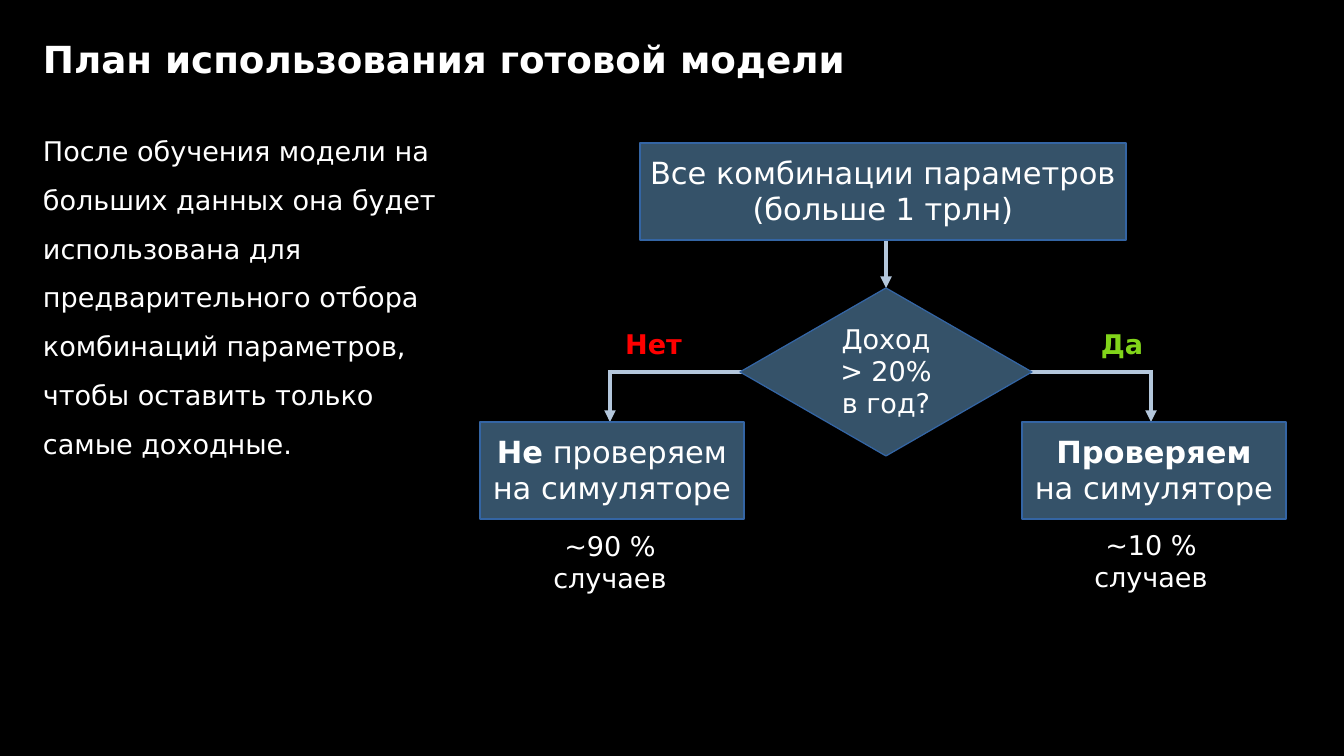
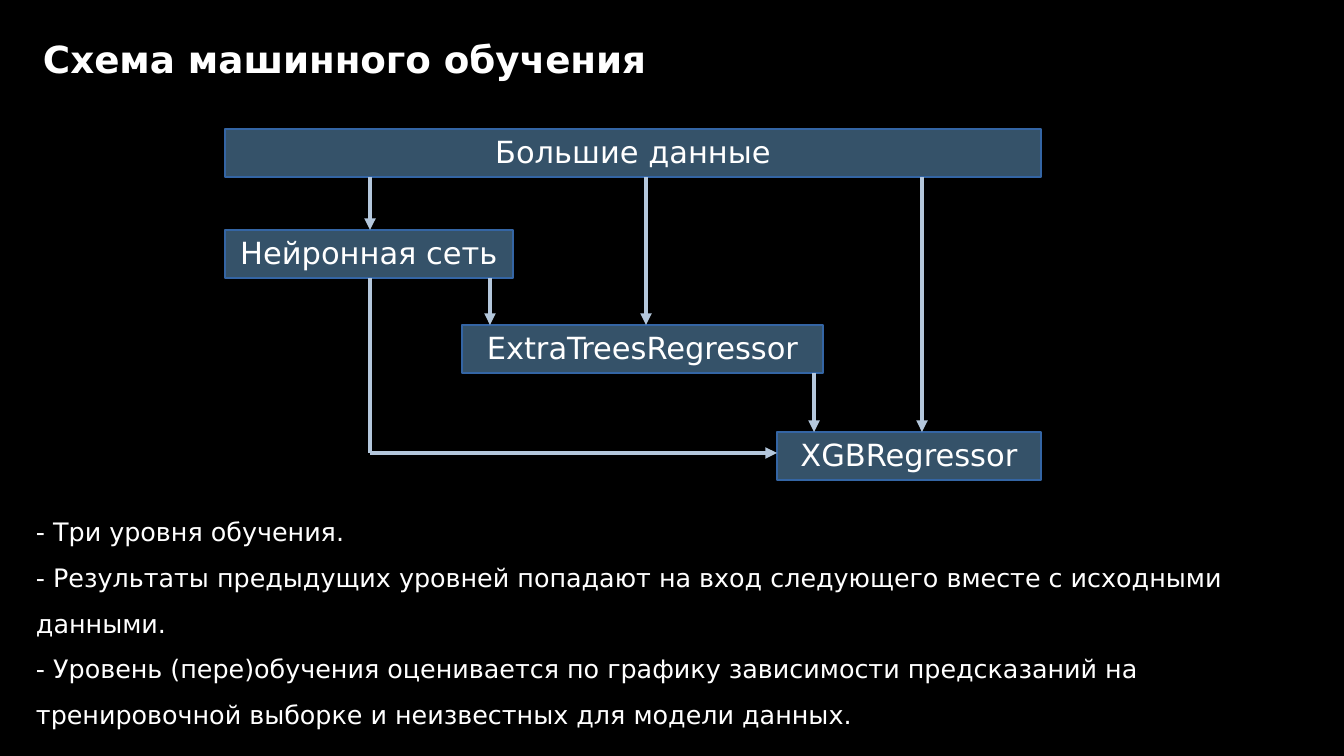
import collections

import lxml.etree
import pptx
import pptx.dml.color
import pptx.enum.shapes
import pptx.enum.text
import pptx.oxml.ns
import pptx.util

EMU_PER_PX = 7495
PAGE_SIZE = (1344, 756)
FONT = "DejaVu Sans"
COLOURS = {
    "background": "000000",
    "text": "FFFFFF",
    "node": "355269",
    "outline": "3465A4",
    "arrow": "B4C7DC",
    "yes": "81D41A",
    "no": "FF0000",
}
ALIGN = pptx.enum.text.PP_ALIGN
ANCHOR = pptx.enum.text.MSO_ANCHOR
SHAPE = pptx.enum.shapes.MSO_SHAPE
LEFT_FORMAT = {"alignment": ALIGN.LEFT, "line_spacing": 0.98}
CENTRE_FORMAT = {"alignment": ALIGN.CENTER, "line_spacing": 0.98}
BODY_FORMAT = {"alignment": ALIGN.LEFT, "line_spacing": 1.5}
PADDING = (12, 6, 12, 6)
FLUSH = (0, 1, 0, 0)

Box = collections.namedtuple("Box", "left top width height")
Branch = collections.namedtuple("Branch", "node drop label answer colour lines share caption")


def px(length):
    """Turn px into EMU."""
    return pptx.util.Emu(round(length * EMU_PER_PX))


def colour(name):
    """Return the named colour as RGB."""
    return pptx.dml.color.RGBColor.from_string(COLOURS[name])


def within(region, left, top, width, height):
    """Return a box placed relative to a region."""
    return Box(region.left + left, region.top + top, width, height)


def set_all(target, values):
    """Set every attribute in a dict of format values."""
    for name, value in values.items():
        setattr(target, name, value)


def write_text(frame, lines, size, layout, padding=PADDING, anchor=ANCHOR.TOP,
               wrap=True, tint="text", bold=False):
    """Fill a text frame; a line is a string or a list of (text, bold) pairs."""
    margins = zip(("left", "top", "right", "bottom"), padding)
    set_all(frame, {f"margin_{side}": px(length) for side, length in margins})
    set_all(frame, {"word_wrap": wrap, "vertical_anchor": anchor})
    for index, line in enumerate(lines):
        para = frame.add_paragraph() if index else frame.paragraphs[0]
        set_all(para, layout)
        for text, strong in [(line, bold)] if isinstance(line, str) else line:
            span = para.add_run()
            span.text = text
            set_all(span.font, {"name": FONT, "size": pptx.util.Pt(size), "bold": strong})
            span.font.color.rgb = colour(tint)


def add_text(page, box, lines, size, layout, **options):
    """Add a text box."""
    shape = page.shapes.add_textbox(*map(px, box))
    write_text(shape.text_frame, lines, size, layout, **options)


def add_node(page, box, lines, kind=SHAPE.RECTANGLE, size=18):
    """Add a filled diagram node with centred text."""
    shape = page.shapes.add_shape(kind, *map(px, box))
    shape.shadow.inherit = False
    shape.fill.solid()
    shape.fill.fore_color.rgb = colour("node")
    shape.line.color.rgb = colour("outline")
    shape.line.width = pptx.util.Pt(0.75)
    write_text(shape.text_frame, lines, size, CENTRE_FORMAT, anchor=ANCHOR.MIDDLE, wrap=False)


def add_line(page, region, start, end, arrow=True):
    """Add a straight line between two points of a region."""
    points = [px(origin + offset) for point in (start, end)
              for origin, offset in zip(region[:2], point)]
    line = page.shapes.add_connector(pptx.enum.shapes.MSO_CONNECTOR.STRAIGHT, *points)
    line.line.color.rgb = colour("arrow")
    line.line.width = pptx.util.Pt(2.3)
    qname = pptx.oxml.ns.qn
    properties = line._element.spPr
    if arrow:
        lxml.etree.SubElement(properties.find(qname("a:ln")), qname("a:tailEnd"), type="triangle")
    lxml.etree.SubElement(properties, qname("a:effectLst"))


def add_page(deck, title):
    """Add a dark page with its title."""
    page = deck.slides.add_slide(deck.slide_layouts[6])
    page.background.fill.solid()
    page.background.fill.fore_color.rgb = colour("background")
    add_text(page, Box(43, 24, 870, 72), [title], 22, LEFT_FORMAT,
             padding=FLUSH, anchor=ANCHOR.MIDDLE, bold=True)
    return page


def add_decision(page, region):
    """Add the decision flowchart."""
    middle, fork, branch_top = 406, 229, 279
    branches = (
        Branch(0, 130, 130, "Нет", "no",
               [[("Не", True), (" проверяем", False)], "на симуляторе"], "~90 % случаев", 382),
        Branch(542, 671, 594, "Да", "yes",
               [[("Проверяем", True)], "на симуляторе"], "~10 % случаев", 381),
    )
    add_line(page, region, (middle, 97), (middle, 145))
    for branch in branches:
        add_line(page, region, (middle, fork), (branch.drop, fork), arrow=False)
        add_line(page, region, (branch.drop, fork - 2), (branch.drop, branch_top))
        add_node(page, within(region, branch.node, branch_top, 264, 97), branch.lines)
        add_text(page, within(region, branch.label, 180, 87 if branch.colour == "no" else 96, 48),
                 [branch.answer], 16, CENTRE_FORMAT, tint=branch.colour, bold=True)
        add_text(page, within(region, branch.drop - 96, branch.caption, 192, 84),
                 [branch.share], 16, CENTRE_FORMAT)
    add_node(page, within(region, 160, 0, 486, 97),
             ["Все комбинации параметров", "(больше 1 трлн)"])
    add_node(page, within(region, middle - 146, 145, 292, 168),
             ["Доход", "> 20%", "в год?"], SHAPE.DIAMOND, 16)


def add_cascade(page, region):
    """Add the cascade of learning levels."""
    height = 48
    nodes = (
        ("Большие данные", 0, 0, 816),
        ("Нейронная сеть", 0, 101, 288),
        ("ExtraTreesRegressor", 237, 196, 361),
        ("XGBRegressor", 552, 303, 264),
    )
    for name, left, top, width in nodes:
        add_node(page, within(region, left, top, width, height), [name])
    data, network, trees, boosting = (top for name, left, top, width in nodes)
    drops = (
        (145, data, network),
        (421, data, trees),
        (697, data, boosting),
        (265, network, trees),
        (589, trees, boosting),
    )
    for across, source, target in drops:
        add_line(page, region, (across, source + height), (across, target))
    turn = boosting + 21
    add_line(page, region, (145, network + height), (145, turn), arrow=False)
    add_line(page, region, (145, turn), (552, turn))


def build_usage(deck):
    """Build the page on using the finished model."""
    page = add_page(deck, "План использования готовой модели")
    add_decision(page, Box(480, 143, 806, 466))
    add_text(page, Box(43, 120, 414, 337), [
        "После обучения модели на больших данных она будет использована для "
        "предварительного отбора комбинаций параметров, чтобы оставить только "
        "самые доходные.",
    ], 16, BODY_FORMAT, padding=FLUSH, anchor=ANCHOR.MIDDLE)


def build_learning(deck):
    """Build the page on the learning scheme."""
    page = add_page(deck, "Схема машинного обучения")
    add_cascade(page, Box(225, 129, 816, 351))
    add_text(page, Box(24, 495, 1299, 240), [
        "- Три уровня обучения.",
        "- Результаты предыдущих уровней попадают на вход следующего вместе с "
        "исходными данными.",
        "- Уровень (пере)обучения оценивается по графику зависимости предсказаний "
        "на тренировочной выборке и неизвестных для модели данных.",
    ], 15, BODY_FORMAT)


def main():
    """Build and save the deck."""
    deck = pptx.Presentation()
    deck.slide_width, deck.slide_height = map(px, PAGE_SIZE)
    build_usage(deck)
    build_learning(deck)
    deck.save("out.pptx")


if __name__ == "__main__":
    main()
